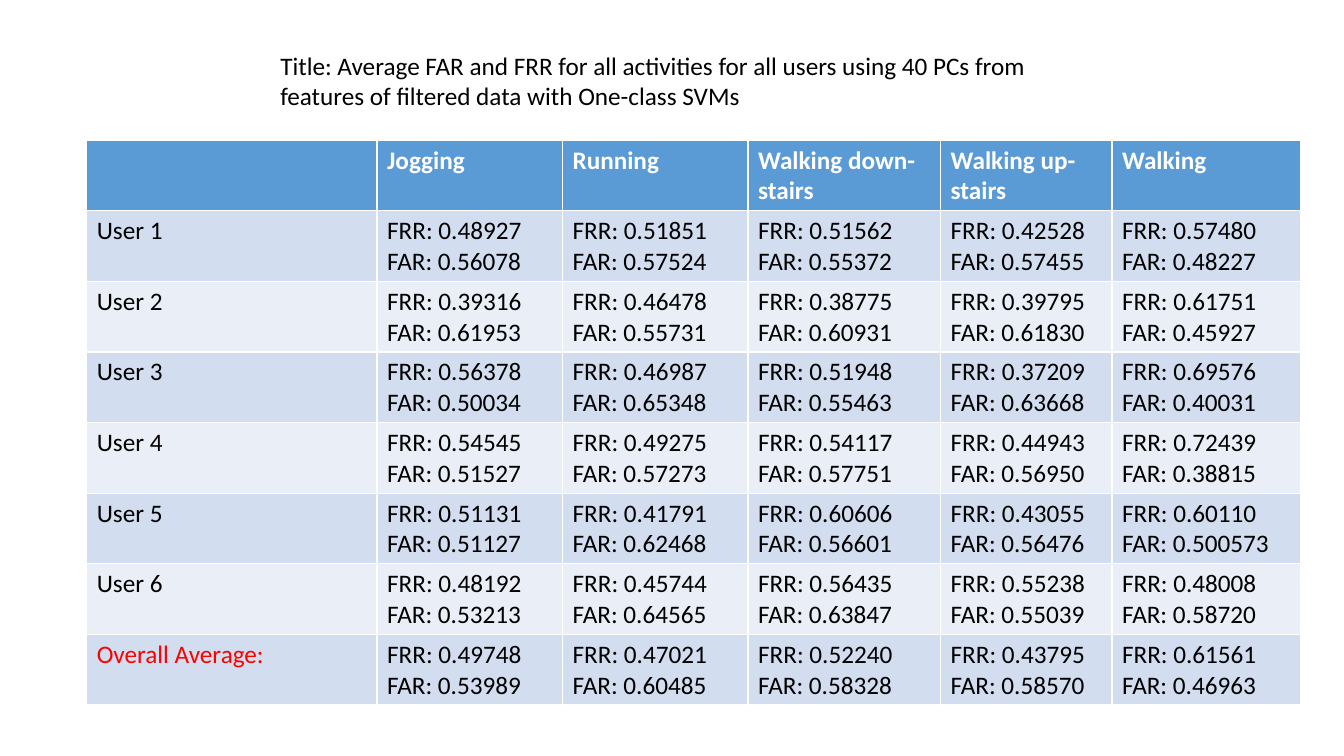
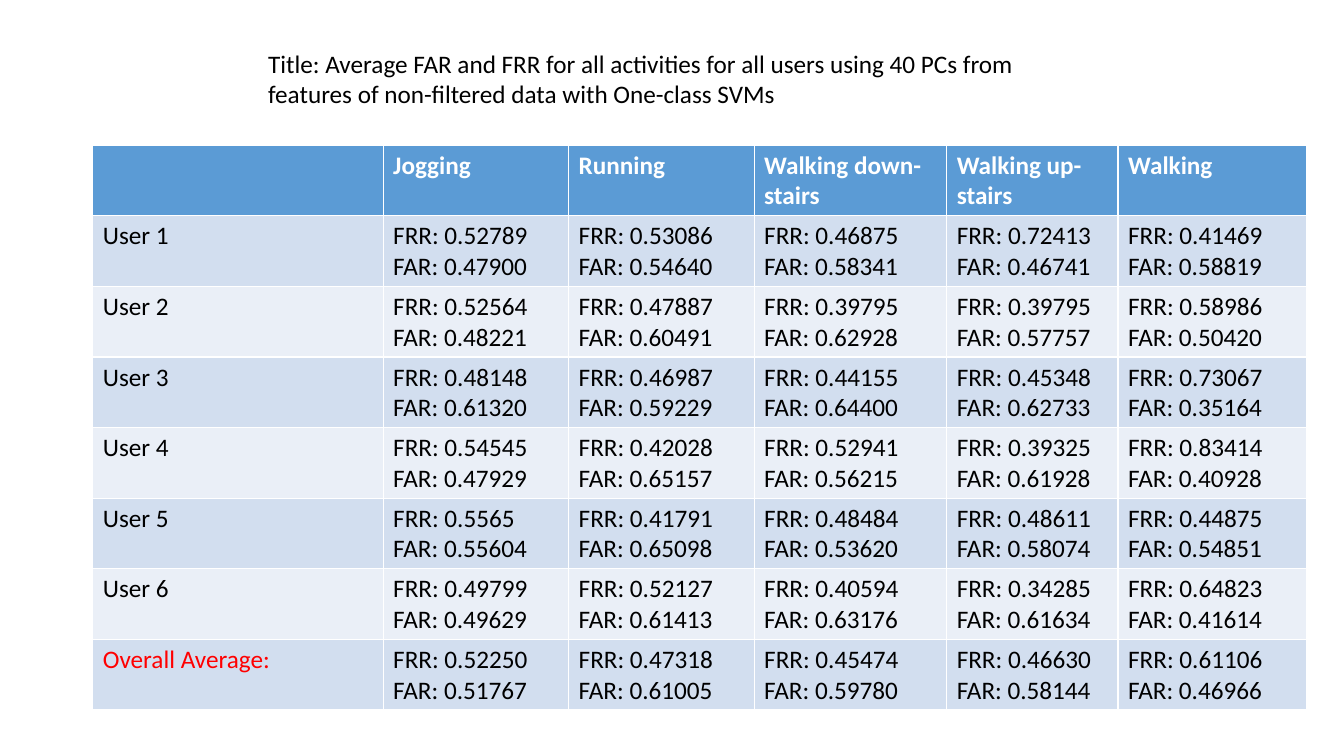
from pptx import Presentation
from pptx.dml.color import RGBColor as RGB
from pptx.enum.text import MSO_ANCHOR as ANCHOR, MSO_AUTO_SIZE as AUTO, PP_ALIGN as ALIGN
from pptx.util import Inches, Pt

COLORS = {
    "header": "5B9BD5",
    "odd": "D2DEEF",
    "even": "EAEFF7",
    "white": "FFFFFF",
    "text": "000000",
    "average": "FF0000",
}
FONT, SIZE = "Calibri", 18
TITLE = ("Title: Average FAR and FRR for all activities for all users using 40 PCs "
         "from features of {} data with One-class SVMs")
TITLE_W, TITLE_H = 8.13, 0.71
COLUMNS = [2.88, 1.84, 1.84, 1.91, 1.7, 1.87]
ROW_H = 0.7
ACTIVITIES = ["", "Jogging", "Running", "Walking down-stairs", "Walking up-stairs", "Walking"]
LABELS = [f"User {n}" for n in range(1, 7)] + ["Overall Average:"]

FILTERED = [
    "0.48927/0.56078 0.51851/0.57524 0.51562/0.55372 0.42528/0.57455 0.57480/0.48227",
    "0.39316/0.61953 0.46478/0.55731 0.38775/0.60931 0.39795/0.61830 0.61751/0.45927",
    "0.56378/0.50034 0.46987/0.65348 0.51948/0.55463 0.37209/0.63668 0.69576/0.40031",
    "0.54545/0.51527 0.49275/0.57273 0.54117/0.57751 0.44943/0.56950 0.72439/0.38815",
    "0.51131/0.51127 0.41791/0.62468 0.60606/0.56601 0.43055/0.56476 0.60110/0.500573",
    "0.48192/0.53213 0.45744/0.64565 0.56435/0.63847 0.55238/0.55039 0.48008/0.58720",
    "0.49748/0.53989 0.47021/0.60485 0.52240/0.58328 0.43795/0.58570 0.61561/0.46963",
]
NON_FILTERED = [
    "0.52789/0.47900 0.53086/0.54640 0.46875/0.58341 0.72413/0.46741 0.41469/0.58819",
    "0.52564/0.48221 0.47887/0.60491 0.39795/0.62928 0.39795/0.57757 0.58986/0.50420",
    "0.48148/0.61320 0.46987/0.59229 0.44155/0.64400 0.45348/0.62733 0.73067/0.35164",
    "0.54545/0.47929 0.42028/0.65157 0.52941/0.56215 0.39325/0.61928 0.83414/0.40928",
    "0.5565/0.55604 0.41791/0.65098 0.48484/0.53620 0.48611/0.58074 0.44875/0.54851",
    "0.49799/0.49629 0.52127/0.61413 0.40594/0.63176 0.34285/0.61634 0.64823/0.41614",
    "0.52250/0.51767 0.47318/0.61005 0.45474/0.59780 0.46630/0.58144 0.61106/0.46966",
]


def format_text(tf, color, bold=False):
    for p in tf.paragraphs:
        p.alignment = ALIGN.LEFT
        for r in p.runs:
            r.font.name, r.font.size, r.font.bold = FONT, Pt(SIZE), bold
            r.font.color.rgb = RGB.from_string(COLORS[color])


def set_title(s, text, left, top):
    sp = s.shapes.title
    sp.left, sp.top = Inches(left), Inches(top)
    sp.width, sp.height = Inches(TITLE_W), Inches(TITLE_H)
    tf = sp.text_frame
    tf.text = text
    tf.word_wrap = True
    tf.auto_size = AUTO.SHAPE_TO_FIT_TEXT
    tf.vertical_anchor = ANCHOR.TOP
    format_text(tf, "text")


def fill_cell(cell, text, fill, color, bold=False):
    cell.fill.solid()
    cell.fill.fore_color.rgb = RGB.from_string(COLORS[fill])
    cell.text_frame.text = text
    format_text(cell.text_frame, color, bold)


def rates(pair):
    frr, far = pair.split("/")
    return f"FRR: {frr}\nFAR: {far}"


def add_rates_table(s, results, left, top):
    n_rows = len(results) + 1
    table = s.shapes.add_table(n_rows, len(COLUMNS), Inches(left), Inches(top),
                               Inches(sum(COLUMNS)), Inches(n_rows * ROW_H)).table
    for column, width in zip(table.columns, COLUMNS):
        column.width = Inches(width)
    for c, activity in enumerate(ACTIVITIES):
        fill_cell(table.cell(0, c), activity, "header", "white", bold=True)
    for i, (label, line) in enumerate(zip(LABELS, results), 1):
        fill = "odd" if i % 2 else "even"
        label_color = "average" if label == LABELS[-1] else "text"
        fill_cell(table.cell(i, 0), label, fill, label_color)
        for c, pair in enumerate(line.split(), 1):
            fill_cell(table.cell(i, c), rates(pair), fill, "text")


def add_results_slide(prs, data_kind, results, title_at, table_at):
    s = prs.slides.add_slide(prs.slide_layouts.get_by_name("Title Only"))
    set_title(s, TITLE.format(data_kind), *title_at)
    add_rates_table(s, results, *table_at)


def main():
    prs = Presentation()
    prs.slide_width, prs.slide_height = Inches(13.33), Inches(7.5)
    add_results_slide(prs, "filtered", FILTERED, (2.68, 0.45), (0.86, 1.39))
    add_results_slide(prs, "non-filtered", NON_FILTERED, (2.56, 0.43), (0.92, 1.44))
    prs.save("out.pptx")


main()
